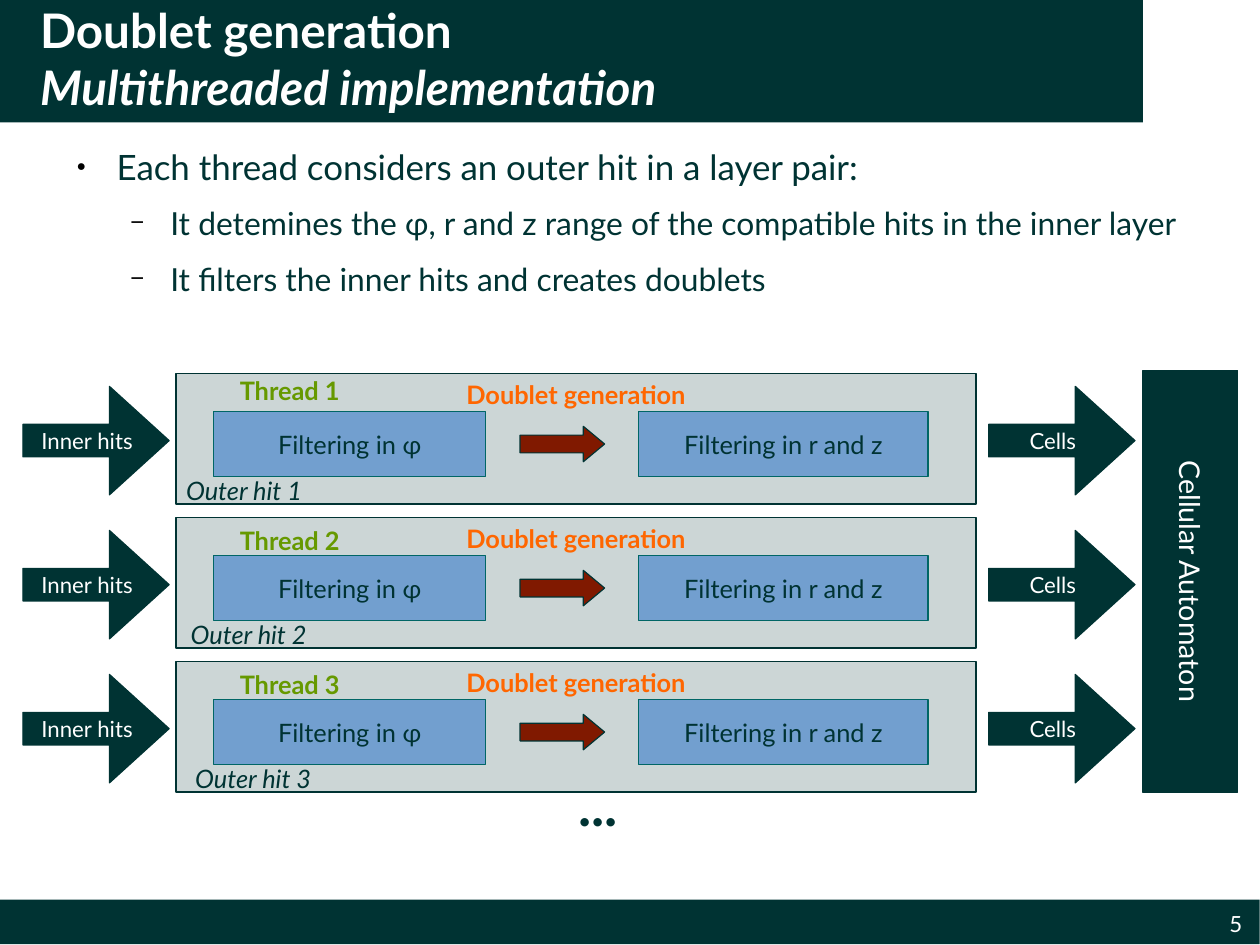
import dataclasses

import pptx
import pptx.dml.color
import pptx.enum.shapes
import pptx.enum.text
import pptx.oxml
import pptx.oxml.ns
import pptx.util
from pptx.util import Inches

SHAPE = pptx.enum.shapes.MSO_SHAPE
ALIGN = pptx.enum.text.PP_ALIGN
ANCHOR = pptx.enum.text.MSO_ANCHOR


@dataclasses.dataclass(frozen=True)
class Theme:
    font: str = "Lato"
    dark: str = "003333"
    white: str = "FFFFFF"
    black: str = "000000"
    filter_fill: str = "729FCF"
    filter_line: str = "006666"
    step_arrow: str = "801900"
    stage: str = "FF6600"
    thread: str = "669900"
    title_size: int = 30
    bullet_size: int = 22
    sub_bullet_size: int = 20
    column_size: int = 18
    label_size: int = 16
    small_size: int = 14
    dots_size: int = 35


THEME = Theme()
ROW_PITCH = 1.26
THREAD_TOPS = (3.22, 4.53, 5.79)


def rgb(color):
    return pptx.dml.color.RGBColor.from_string(color)


def add_drawing_element(parent, tag, **attributes):
    child = pptx.oxml.parse_xml(f"<a:{tag} {pptx.oxml.ns.nsdecls('a')}/>")
    for name, value in attributes.items():
        child.set(name, value)
    parent.append(child)
    return child


def add_span(para, text, size, color, bold=False, italic=False):
    span = para.add_run()
    span.text = text
    font = span.font
    font.name, font.size = THEME.font, pptx.util.Pt(size)
    font.bold, font.italic = bold, italic
    font.color.rgb = rgb(color)


def place(item, left, top, width, height):
    item.left, item.top = Inches(left), Inches(top)
    item.width, item.height = Inches(width), Inches(height)


def set_frame(frame, margins=(0.1, 0.05), anchor=ANCHOR.MIDDLE, wrap=True):
    """Set margins as (sides, top and bottom), anchor and wrapping."""
    frame.auto_size = pptx.enum.text.MSO_AUTO_SIZE.NONE
    frame.word_wrap = wrap
    frame.vertical_anchor = anchor
    frame.margin_left = frame.margin_right = Inches(margins[0])
    frame.margin_top = frame.margin_bottom = Inches(margins[1])


def add_block(page, kind, box, fill, line=None, adjustments=()):
    block = page.shapes.add_shape(kind, *map(Inches, box))
    block.shadow.inherit = False
    block.fill.solid()
    block.fill.fore_color.rgb = rgb(fill)
    if line:
        block.line.color.rgb = rgb(line)
        block.line.width = pptx.util.Pt(0)
    else:
        block.line.fill.background()
    for index, value in enumerate(adjustments):
        block.adjustments[index] = value
    return block


def write_in_block(block, text, size, color, bold=False, **frame_options):
    set_frame(block.text_frame, **frame_options)
    para = block.text_frame.paragraphs[0]
    para.alignment = ALIGN.CENTER
    add_span(para, text, size, color, bold)


def add_label(page, box, text, size, color, align=ALIGN.LEFT,
              bold=False, italic=False, **frame_options):
    label = page.shapes.add_textbox(*map(Inches, box))
    set_frame(label.text_frame, **frame_options)
    para = label.text_frame.paragraphs[0]
    para.alignment = align
    add_span(para, text, size, color, bold, italic)


def fill_title(title, heading, subheading):
    place(title, 0, -0.06, 10, 1.13)
    title.fill.solid()
    title.fill.fore_color.rgb = rgb(THEME.dark)
    set_frame(title.text_frame, margins=(0, 0))
    para = title.text_frame.paragraphs[0]
    para.alignment = ALIGN.LEFT
    properties = para._p.get_or_add_pPr()
    properties.set("marL", str(Inches(0.35)))
    properties.set("indent", "0")
    add_span(para, heading, THEME.title_size, THEME.white, bold=True)
    para.add_line_break()
    add_span(para, subheading, THEME.title_size, THEME.white, bold=True, italic=True)


def add_bullet(para, level, text):
    sign, scale, size, gap = (("●", 45, THEME.bullet_size, 10.5),
                              ("−", 75, THEME.sub_bullet_size, 11.3))[level]
    para.level = level
    para.alignment = ALIGN.LEFT
    para.space_before = pptx.util.Pt(0)
    para.space_after = pptx.util.Pt(gap)
    properties = para._p.get_or_add_pPr()
    properties.set("marL", str(Inches(0.47 * (level + 1))))
    properties.set("indent", str(Inches(-0.35)))
    bullet_color = add_drawing_element(properties, "buClr")
    add_drawing_element(bullet_color, "srgbClr", val=THEME.black)
    add_drawing_element(properties, "buSzPct", val=str(scale * 1000))
    add_drawing_element(properties, "buChar", char=sign)
    add_span(para, text, size, THEME.dark)


def fill_body(body, bullets):
    place(body, 0.55, 1.27, 9.92, 1.81)
    frame = body.text_frame
    set_frame(frame, margins=(0, 0), anchor=ANCHOR.TOP)
    for index, (level, text) in enumerate(bullets):
        para = frame.add_paragraph() if index else frame.paragraphs[0]
        add_bullet(para, level, text)


def add_flow_arrow(page, left, top, text):
    arrow = add_block(page, SHAPE.RIGHT_ARROW, (left, top, 1.28, 0.95),
                      THEME.dark, THEME.dark, (0.3, 0.55))
    write_in_block(arrow, text, THEME.small_size, THEME.white)


def add_filter(page, left, top, width, text):
    block = add_block(page, SHAPE.RECTANGLE, (left, top, width, 0.57),
                      THEME.filter_fill, THEME.filter_line)
    write_in_block(block, text, THEME.label_size, THEME.dark, wrap=False)


def add_thread_row(page, row, thread_top):
    shift = row * ROW_PITCH
    panel = add_block(page, SHAPE.RECTANGLE, (1.54, 3.27 + shift, 7, 1.14),
                      THEME.dark, THEME.dark)
    panel_color = panel.fill._xPr.find(".//" + pptx.oxml.ns.qn("a:srgbClr"))
    add_drawing_element(panel_color, "alpha", val="20000")
    write_in_block(panel, "Doublet generation", THEME.label_size, THEME.stage,
                   bold=True, anchor=ANCHOR.TOP)
    add_flow_arrow(page, 0.2, 3.38 + shift, "Inner hits")
    add_filter(page, 1.87, 3.6 + shift, 2.38, "Filtering in φ")
    add_block(page, SHAPE.RIGHT_ARROW, (4.55, 3.73 + shift, 0.74, 0.31),
              THEME.step_arrow, THEME.dark, (0.5, 0.6))
    add_filter(page, 5.59, 3.6 + shift, 2.53, "Filtering in r and z")
    add_flow_arrow(page, 8.65, 3.38 + shift, "Cells")
    add_label(page, (1.53 + 0.04 * row, 4.09 + shift, 1.27, 0.4),
              f"Outer hit {row + 1}", THEME.label_size, THEME.dark, italic=True)
    add_label(page, (2, thread_top, 1.27, 0.39),
              f"Thread {row + 1}", THEME.label_size, THEME.thread, bold=True)


def main():
    deck = pptx.Presentation()
    deck.slide_width, deck.slide_height = pptx.util.Cm(28), pptx.util.Cm(21)
    page = deck.slides.add_slide(deck.slide_layouts[1])
    fill_title(page.shapes.title, "Doublet generation", "Multithreaded implementation")
    fill_body(page.placeholders[1], (
        (0, "Each thread considers an outer hit in a layer pair:"),
        (1, "It detemines the φ, r and z range of the compatible hits in the inner layer"),
        (1, "It filters the inner hits and creates doublets"),
    ))
    for row, thread_top in enumerate(THREAD_TOPS):
        add_thread_row(page, row, thread_top)
    add_label(page, (4.96, 6.32, 0.6, 1.43), "...", THEME.dots_size, THEME.dark, bold=True)
    automaton = add_block(page, SHAPE.RECTANGLE, (8.57, 4.67, 3.69, 0.83),
                          THEME.dark, THEME.dark)
    automaton.rotation = 90
    write_in_block(automaton, "Cellular Automaton", THEME.column_size, THEME.white)
    add_block(page, SHAPE.RECTANGLE, (0, 7.87, 11.02, 0.39), THEME.dark)
    add_label(page, (9.37, 7.96, 1.5, 0.22), "5", THEME.small_size, THEME.white,
              align=ALIGN.RIGHT, margins=(0, 0), anchor=ANCHOR.TOP)
    deck.save("out.pptx")


if __name__ == "__main__":
    main()
